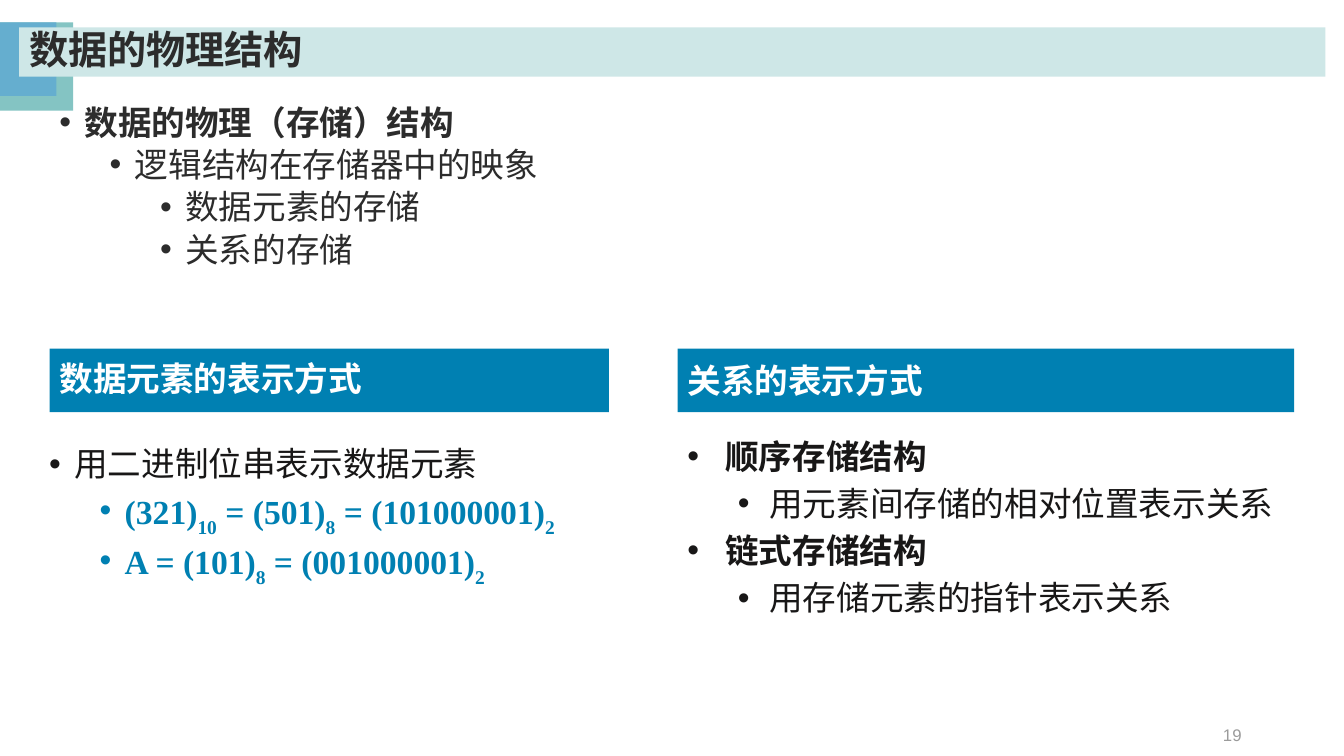
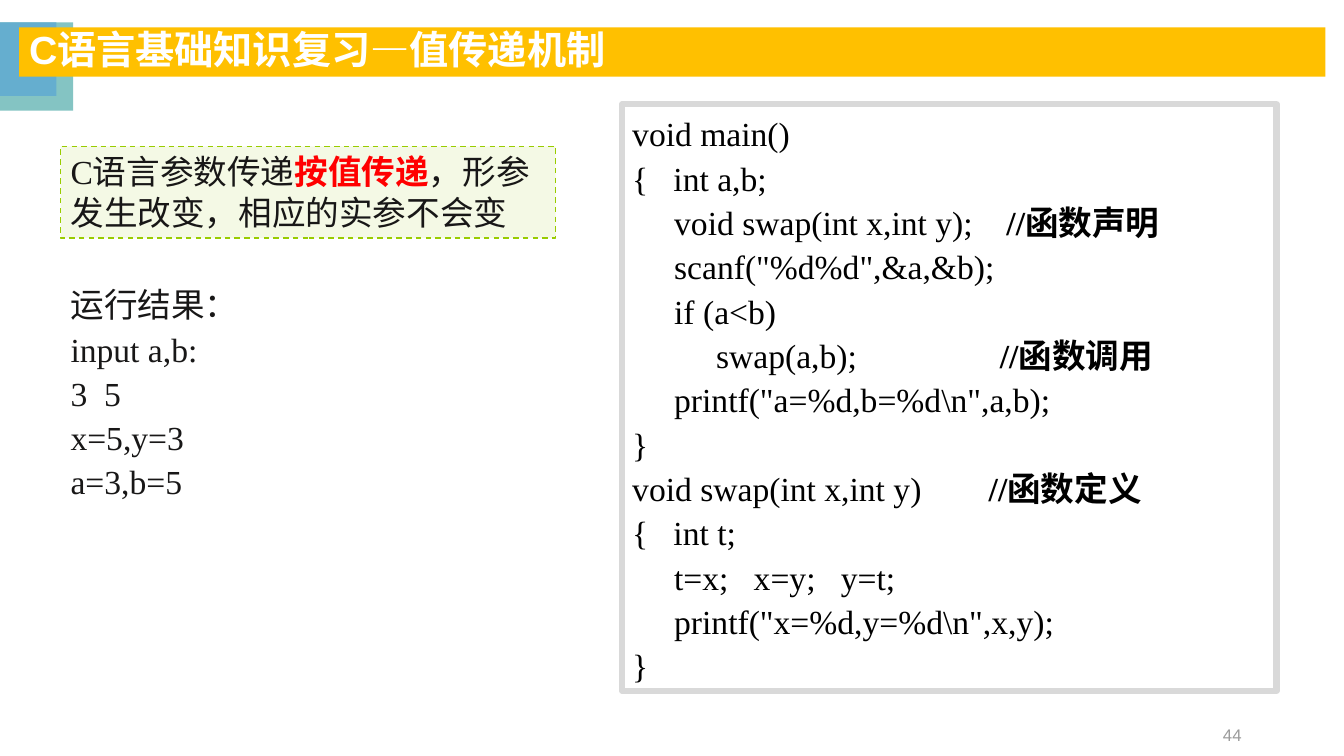
from lxml.etree import SubElement
from pptx import Presentation
from pptx.dml.color import RGBColor
from pptx.enum.dml import MSO_LINE_DASH_STYLE as Dash
from pptx.enum.shapes import MSO_SHAPE as Shape
from pptx.enum.text import MSO_ANCHOR as Anchor, PP_ALIGN as Align
from pptx.oxml.ns import qn
from pptx.util import Pt

COLORS = {
    "teal": "84C4C3", "sky": "65AECF", "mint": "CEE7E7", "amber": "FFC000",
    "blue": "0080B2", "lime": "99CC00", "red": "FF0000", "white": "FFFFFF",
    "black": "000000", "ink": "181717", "dark": "2C2C2C",
    "gray": "9B9B9B", "frame": "D9D9D9",
}
CJK_FONT = "Noto Sans CJK SC"
BOLD = {"bold": True}
SUBSCRIPT = {"subscript": True}


def color(name):
    return RGBColor.from_string(COLORS[name])


class Deck:
    def __init__(self):
        self.presentation = Presentation()
        self.presentation.slide_width = Pt(960)
        self.presentation.slide_height = Pt(540)
        self.slide = None

    def add_slide(self, title, number, band, title_color, title_font):
        self.slide = self.presentation.slides.add_slide(self.presentation.slide_layouts[6])
        self.box((0, 16, 52.3, 63), fill="teal")
        self.box((0, 16, 40.3, 52.5), fill="sky")
        self.text((678, 510.5, 216, 28.8), [number], anchor=Anchor.MIDDLE, size=12,
                  font="Arial", ink="gray", align=Align.RIGHT)
        self.box((13.7, 19.5, 933, 35.3), [title], fill=band, anchor=Anchor.MIDDLE,
                 size=28, font=title_font, ink=title_color, bold=True, spacing=0.9)

    def box(self, place, paragraphs=(), fill=None, alpha=None, line=None,
            line_width=1, dash=None, anchor=Anchor.TOP, **style):
        shape = self.slide.shapes.add_shape(Shape.RECTANGLE, *map(Pt, place))
        shape.shadow.inherit = False
        if fill:
            shape.fill.solid()
            shape.fill.fore_color.rgb = color(fill)
        else:
            shape.fill.background()
        if alpha:
            tint = shape._element.spPr.find(qn("a:solidFill"))[0]
            SubElement(tint, qn("a:alpha"), val=str(alpha * 1000))
        if line:
            shape.line.color.rgb = color(line)
            shape.line.width = Pt(line_width)
            if dash:
                shape.line.dash_style = dash
        else:
            shape.line.fill.background()
        self.fill_text(shape.text_frame, paragraphs, anchor, **style)

    def text(self, place, paragraphs, anchor=Anchor.TOP, **style):
        shape = self.slide.shapes.add_textbox(*map(Pt, place))
        self.fill_text(shape.text_frame, paragraphs, anchor, **style)

    def heading(self, left, width, words, spacing=None):
        self.box((left, 249, width, 45.5), [words], fill="blue", anchor=Anchor.MIDDLE,
                 ink="white", bold=True, spacing=spacing)

    def bullets(self, place, items, indents, before=(0, 0, 0), **style):
        """Add (level, runs, overrides) items; indents and before go by level."""
        paragraphs = []
        for level, runs, overrides in items:
            left, hanging = indents[level]
            paragraphs.append((runs, {"level": level, "left": left, "hanging": hanging,
                                      "before": before[level], **overrides}))
        self.text(place, paragraphs, **style)

    def fill_text(self, frame, paragraphs, anchor, **style):
        """A paragraph is a string, a list of runs, or a (runs, overrides) pair."""
        frame.word_wrap = True
        frame.vertical_anchor = anchor
        for index, entry in enumerate(paragraphs):
            paragraph = frame.add_paragraph() if index else frame.paragraphs[0]
            runs, overrides = entry if isinstance(entry, tuple) else (entry, {})
            self.style_paragraph(paragraph, index == 0, **{**style, **overrides})
            for run in [runs] if isinstance(runs, str) else runs:
                self.add_run(paragraph, *([run] if isinstance(run, str) else run))

    def style_paragraph(self, paragraph, first, size=24, font="Times New Roman", ink="ink",
                        bold=False, align=Align.LEFT, spacing=None, before=0, level=0,
                        left=0, hanging=0):
        paragraph.alignment = align
        paragraph.level = level
        if spacing:
            paragraph.line_spacing = spacing
        if before and not first:
            paragraph.space_before = Pt(before)
        properties = paragraph._p.get_or_add_pPr()
        if hanging:
            properties.set("marL", str(Pt(left)))
            properties.set("indent", str(-Pt(hanging)))
            SubElement(properties, qn("a:buFont"), typeface="Arial")
            SubElement(properties, qn("a:buChar"), char="•")
        paragraph.font.size = Pt(size)
        paragraph.font.bold = bold
        paragraph.font.color.rgb = color(ink)
        paragraph.font.name = font
        SubElement(properties.find(qn("a:defRPr")), qn("a:ea"), typeface=CJK_FONT)

    def add_run(self, paragraph, words, style=None):
        style = style or {}
        run = paragraph.add_run()
        run.text = words
        if "bold" in style:
            run.font.bold = style["bold"]
        if "ink" in style:
            run.font.color.rgb = color(style["ink"])
        if "subscript" in style:
            run._r.get_or_add_rPr().set("baseline", "-30000")


def based(*parts):
    """Alternate plain text with subscript number bases."""
    return [(part, SUBSCRIPT) if index % 2 else part for index, part in enumerate(parts)]


def add_structure_slide(deck):
    deck.add_slide("数据的物理结构", "19", "mint", "dark", CJK_FONT)
    steps = [(18, 18), (54, 18), (90, 18)]
    deck.bullets((35.3, 67.7, 418, 147.6), [
        (0, "数据的物理（存储）结构", BOLD),
        (1, "逻辑结构在存储器中的映象", {}),
        (2, "数据元素的存储", {}),
        (2, "关系的存储", {}),
    ], steps, ink="dark", spacing=1.05)

    deck.heading(35.5, 399.5, "数据元素的表示方式", spacing=0.9)
    formula = {"ink": "blue", "bold": True}
    deck.bullets((28, 316, 399.5, 104.4), [
        (0, "用二进制位串表示数据元素", {}),
        (1, based("(321)", "10", " = (501)", "8", " = (101000001)", "2"), formula),
        (1, based("A = (101)", "8", " = (001000001)", "2"), formula),
    ], steps, before=(10, 5, 5), spacing=0.9)

    deck.heading(484, 440.5, "关系的表示方式")
    deck.bullets((484, 308, 440.5, 142), [
        (0, "顺序存储结构", BOLD),
        (1, "用元素间存储的相对位置表示关系", {}),
        (0, "链式存储结构", BOLD),
        (1, "用存储元素的指针表示关系", {}),
    ], [(27, 27), (58.5, 22.5)], before=(4.8, 4.8))


def add_value_passing_slide(deck):
    deck.add_slide("C语言基础知识复习—值传递机制", "44", "amber", "white", "Arial")
    deck.box((444.5, 74.5, 467.3, 419), [
        "void main()",
        "{   int a,b;",
        ["     void swap(int x,int y);    ", ("//函数声明", BOLD)],
        '     scanf("%d%d",&a,&b);',
        "     if (a<b) ",
        ["          swap(a,b);                 ", ("//函数调用", BOLD)],
        '     printf("a=%d,b=%d\\n",a,b);',
        "}",
        ["void swap(int x,int y)        ", ("//函数定义", BOLD)],
        "{   int t;",
        "     t=x;   x=y;   y=t;",
        '     printf("x=%d,y=%d\\n",x,y);',
        "}",
    ], line="frame", line_width=4.5, ink="black", spacing=1.1)
    deck.text((43.3, 196.5, 175, 165), [
        "运行结果：", "input a,b:", "3  5", "x=5,y=3", "a=3,b=5",
    ], spacing=1.1)
    deck.box((43.3, 104.5, 353.5, 65.5), [
        ["C语言参数传递", ("按值传递", {"ink": "red", "bold": True}),
         "，形参发生改变，相应的实参不会变"],
    ], fill="lime", alpha=10, line="lime", dash=Dash.DASH)


def main():
    deck = Deck()
    add_structure_slide(deck)
    add_value_passing_slide(deck)
    deck.presentation.save("out.pptx")


if __name__ == "__main__":
    main()
